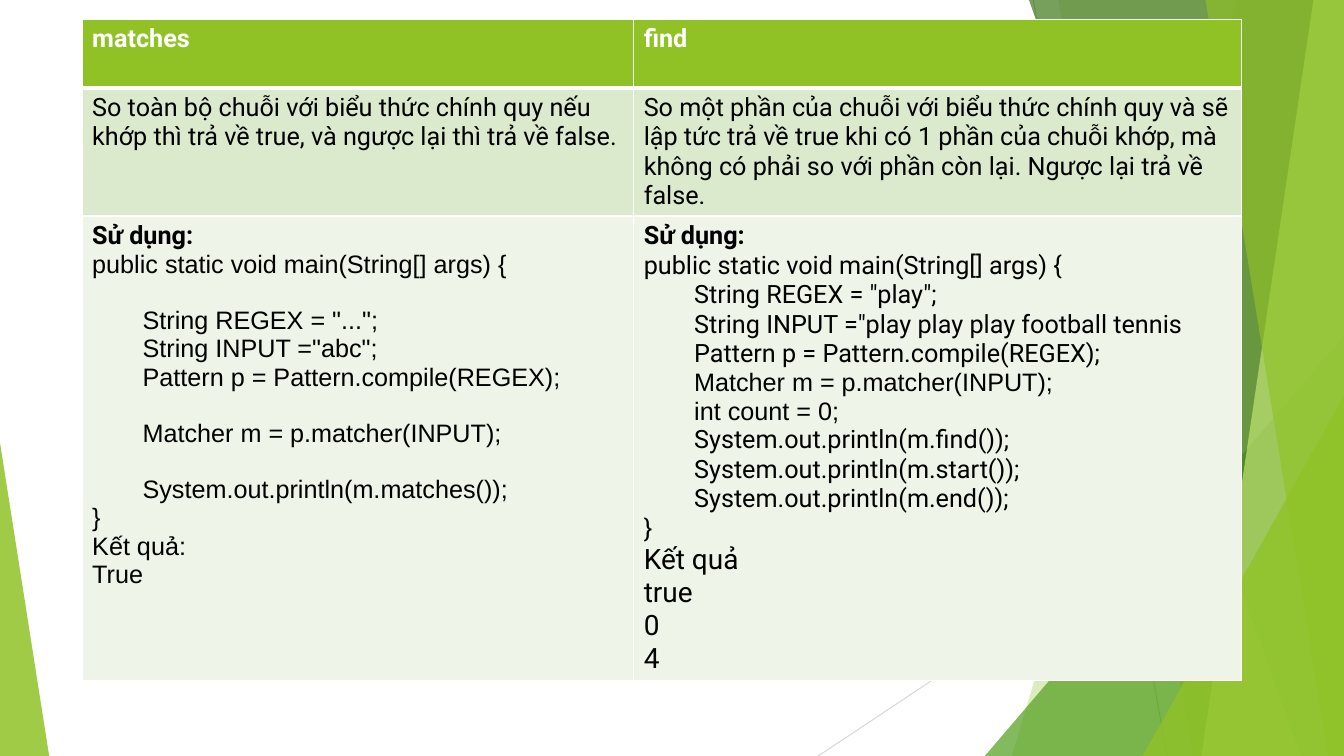
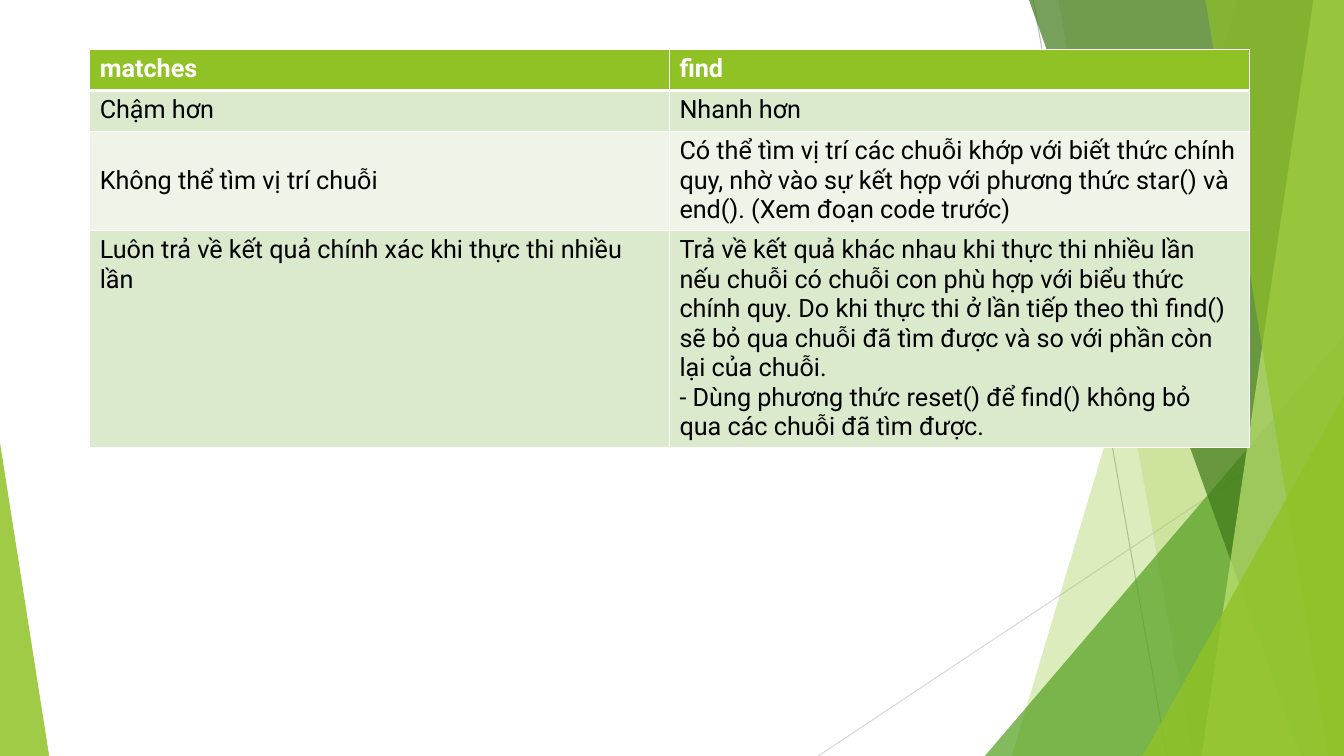
from dataclasses import dataclass

from lxml import etree
from pptx import Presentation
from pptx.dml.color import RGBColor
from pptx.enum.shapes import MSO_CONNECTOR, MSO_SHAPE
from pptx.enum.text import MSO_ANCHOR
from pptx.oxml.ns import qn
from pptx.util import Cm, Pt

STRAIGHT = MSO_CONNECTOR.STRAIGHT
TRIANGLE = MSO_SHAPE.ISOSCELES_TRIANGLE
TOP, MIDDLE = MSO_ANCHOR.TOP, MSO_ANCHOR.MIDDLE

COLORS = {
    "white": "FFFFFF",
    "black": "000000",
    "lime": "90C226",
    "green": "54A021",
    "forest": "3F7819",
    "pale_lime": "C0E474",
    "gray": "BFBFBF",
    "light_gray": "D9D9D9",
    "dark_row": "DBE9CD",
    "light_row": "EEF4E8",
}
WIDTH, HEIGHT = 33.87, 19.05
ROBOTO, ARIAL = "Roboto", "Arial"
CODE_INDENT = 1.27
BLANK_LINE = 20


@dataclass
class Line:
    text: str
    font: str = ROBOTO
    size: int = 18
    bold: bool = False
    indent: float = 0
    gap: float = 0


def rgb(name):
    return RGBColor.from_string(COLORS[name])


def paint(shape, color, opacity):
    shape.shadow.inherit = False
    shape.line.fill.background()
    shape.fill.solid()
    shape.fill.fore_color.rgb = rgb(color)
    tint = shape._element.spPr.find(".//" + qn("a:srgbClr"))
    etree.SubElement(tint, qn("a:alpha")).set("val", str(opacity * 1000))


def add_ray(slide, start, end, color):
    ray = slide.shapes.add_connector(STRAIGHT, *map(Cm, start + end))
    ray.line.color.rgb = rgb(color)
    ray.line.width = Pt(0.75)
    etree.SubElement(ray._element.spPr, qn("a:effectLst"))


def add_band(slide, top_x, bottom_x, color, opacity):
    outline = slide.shapes.build_freeform(Cm(top_x), 0)
    corners = [(WIDTH, 0), (WIDTH, HEIGHT), (bottom_x, HEIGHT)]
    outline.add_line_segments([(Cm(x), Cm(y)) for x, y in corners])
    paint(outline.convert_to_shape(), color, opacity)


def add_wedge(slide, left, right, top, apex, color, opacity):
    wedge = slide.shapes.add_shape(
        TRIANGLE, Cm(left), Cm(top), Cm(right - left), Cm(HEIGHT - top))
    wedge.adjustments[0] = apex
    paint(wedge, color, opacity)


def add_backdrop(slide):
    add_ray(slide, (26.04, 0), (29.41, HEIGHT), "gray")
    add_ray(slide, (WIDTH, 10.24), (20.62, HEIGHT), "light_gray")
    add_band(slide, 31.19, 25.5, "lime", 30)
    add_band(slide, 26.67, 30.05, "lime", 20)
    add_wedge(slide, 24.82, WIDTH, 8.46, 1, "green", 72)
    add_band(slide, 25.93, 32.79, "forest", 70)
    add_band(slide, 33.1, 30.28, "pale_lime", 70)
    add_band(slide, 30.38, 33.48, "lime", 65)
    add_wedge(slide, 28.8, WIDTH, 9.98, 1, "lime", 80)
    add_wedge(slide, 0, 1.24, 11.15, 0, "lime", 85)


def set_borders(cell, row):
    widths = {
        "a:lnL": 1,
        "a:lnR": 1,
        "a:lnT": 3 if row == 1 else 1,
        "a:lnB": 3 if row == 0 else 1,
    }
    properties = cell._tc.get_or_add_tcPr()
    for side, width in widths.items():
        border = etree.SubElement(properties, qn(side), w=str(Pt(width)))
        fill = etree.SubElement(border, qn("a:solidFill"))
        etree.SubElement(fill, qn("a:srgbClr"), val=COLORS["white"])


def write_lines(frame, lines, color):
    for index, line in enumerate(lines):
        paragraph = frame.add_paragraph() if index else frame.paragraphs[0]
        paragraph.text = line.text
        paragraph.space_before = Pt(line.gap)
        paragraph._p.get_or_add_pPr().set("marL", str(Cm(line.indent)))
        font = paragraph.font
        font.name, font.size, font.bold = line.font, Pt(line.size), line.bold
        font.color.rgb = rgb(color)


def fill_cell(cell, row, lines):
    set_borders(cell, row)
    cell.fill.solid()
    if row == 0:
        background = "lime"
    else:
        background = "dark_row" if row % 2 else "light_row"
    cell.fill.fore_color.rgb = rgb(background)
    write_lines(cell.text_frame, lines, "black" if row else "white")


def add_comparison(slide, left, top, widths, heights, body):
    header = [[Line(name, bold=True)] for name in ("matches", "find")]
    rows = [header] + body
    table = slide.shapes.add_table(
        len(rows), len(widths), Cm(left), Cm(top),
        Cm(sum(widths)), Cm(sum(heights))).table
    for column, width in zip(table.columns, widths):
        column.width = Cm(width)
    for index, (height, row) in enumerate(zip(heights, rows)):
        table.rows[index].height = Cm(height)
        for column, lines in enumerate(row):
            fill_cell(table.cell(index, column), index, lines)
    return table


def code(text, font=ROBOTO, gap=0):
    return Line(text, font, indent=CODE_INDENT, gap=gap)


def add_usage_slide(slide):
    add_backdrop(slide)
    usage = Line("Sử dụng:", bold=True)
    signature = "public static void main(String[] args) {"
    matches_usage = [
        usage,
        Line(signature, ARIAL),
        code('String REGEX = "...";', ARIAL, BLANK_LINE),
        code('String INPUT ="abc";', ARIAL),
        code("Pattern p = Pattern.compile(REGEX);", ARIAL),
        code("Matcher m = p.matcher(INPUT);", ARIAL, BLANK_LINE),
        code("System.out.println(m.matches());", ARIAL, BLANK_LINE),
        *[Line(text, ARIAL) for text in ("}", "Kết quả:", "True")],
    ]
    find_usage = [
        usage,
        Line(signature),
        code('String REGEX = "play";'),
        code('String INPUT ="play play play football tennis'),
        code("Pattern p = Pattern.compile(REGEX);"),
        code("Matcher m = p.matcher(INPUT);", ARIAL),
        code("int count = 0;", ARIAL),
        *[code(f"System.out.println(m.{method}());")
          for method in ("find", "start", "end")],
        Line("}"),
        *[Line(text, size=20) for text in ("Kết quả", "true", "0", "4")],
    ]
    definitions = [
        [Line("So toàn bộ chuỗi với biểu thức chính quy nếu khớp thì trả về "
              "true, và ngược lại thì trả về false.")],
        [Line("So một phần của chuỗi với biểu thức chính quy và sẽ lập tức "
              "trả về true khi có 1 phần của chuỗi khớp, mà không có phải so "
              "với phần còn lại. Ngược lại trả về false.")],
    ]
    add_comparison(slide, 2.07, 0.49, [13.9, 15.31], [1.72, 3.23, 11.7],
                   [definitions, [matches_usage, find_usage]])


def add_difference_slide(slide):
    add_backdrop(slide)
    speed = [[Line("Chậm hơn")], [Line("Nhanh hơn")]]
    position = [
        [Line("Không thể tìm vị trí chuỗi")],
        [Line("Có thể tìm vị trí các chuỗi khớp với biết thức chính quy, nhờ "
              "vào sự kết hợp với phương thức star() và end(). (Xem đoạn code "
              "trước)")],
    ]
    repetition = [
        [Line("Luôn trả về kết quả chính xác khi thực thi nhiều lần")],
        [Line("Trả về kết quả khác nhau khi thực thi nhiều lần nếu chuỗi có "
              "chuỗi con phù hợp với biểu thức chính quy. Do khi thực thi ở "
              "lần tiếp theo thì find() sẽ bỏ qua chuỗi đã tìm được và so với "
              "phần còn lại của chuỗi."),
         Line("- Dùng phương thức reset() để find() không bỏ qua các chuỗi đã "
              "tìm được.")],
    ]
    table = add_comparison(slide, 2.26, 1.25, [14.61, 14.61],
                           [1.03, 1.03, 2.48, 5.45],
                           [speed, position, repetition])
    for row in range(len(table.rows)):
        table.cell(row, 0).vertical_anchor = MIDDLE if row == 2 else TOP


def main():
    deck = Presentation()
    deck.slide_width, deck.slide_height = Cm(WIDTH), Cm(HEIGHT)
    blank = deck.slide_layouts[6]
    for build in (add_usage_slide, add_difference_slide):
        build(deck.slides.add_slide(blank))
    deck.save("out.pptx")


if __name__ == "__main__":
    main()
